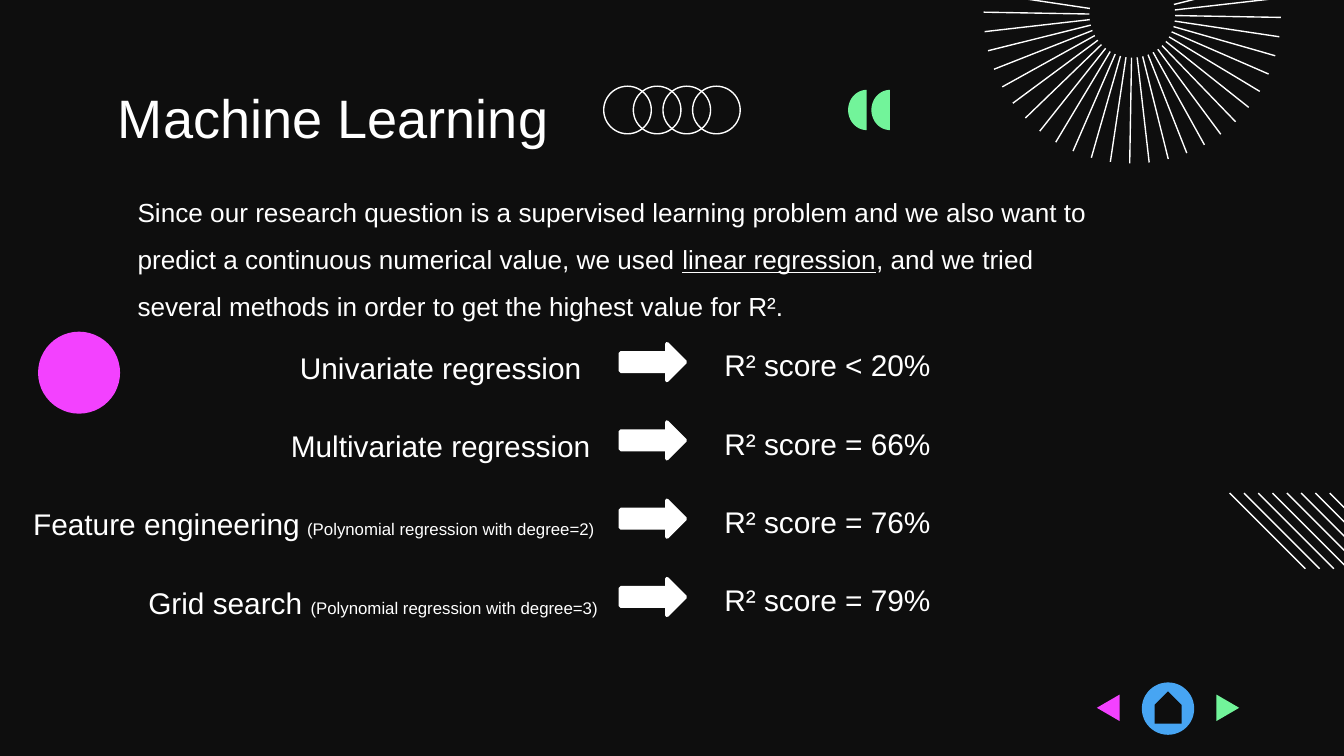
from math import cos, pi, radians, sin

from lxml.etree import SubElement
from pptx import Presentation
from pptx.dml.color import RGBColor
from pptx.enum.shapes import MSO_CONNECTOR, MSO_SHAPE
from pptx.enum.text import PP_ALIGN
from pptx.oxml.ns import qn
from pptx.util import Cm, Pt

BLACK = RGBColor(0x0E, 0x0E, 0x0E)
WHITE = RGBColor(0xFF, 0xFF, 0xFF)
PINK = RGBColor(0xF3, 0x41, 0xFF)
GREEN = RGBColor(0x72, 0xF4, 0x9A)
BLUE = RGBColor(0x47, 0xA5, 0xF3)

# Content: runs are (text, format values); lengths are in centimetres
TITLE = [("Machine Learning", {"size": Pt(29)})]
BODY = [
    ("Since our research question is a supervised learning problem and we also "
     "want to predict a continuous numerical value, we used ", {"size": Pt(14)}),
    ("linear regression", {"size": Pt(14), "underline": True}),
    (", and we tried several methods in order to get the highest value for R².",
     {"size": Pt(14)}),
]
BIG, SMALL = {"size": Pt(16)}, {"size": Pt(9)}
METHODS = [  # label runs, label width, score
    ([("Univariate regression", BIG)], 7.19, "R² score < 20%"),
    ([("Multivariate regression", BIG)], 7.19, "R² score = 66%"),
    ([("Feature engineering", BIG), (" ", {"size": Pt(14)}),
      ("(Polynomial regression with degree=2)", SMALL)], 11.99, "R² score = 76%"),
    ([("Grid search ", BIG),
      ("(Polynomial regression with degree=3)", SMALL)], 9.75, "R² score = 79%"),
]
LABEL_RIGHT, ROW_TOP, ROW_STEP = 11.73, 6.02, 1.48

prs = Presentation()
prs.slide_width, prs.slide_height = Cm(25.4), Cm(14.29)
s = prs.slides.add_slide(prs.slide_layouts[6])
s.background.fill.solid()
s.background.fill.fore_color.rgb = BLACK


def style(sp, fill=None, line=None, width=0.75):
    sp.shadow.inherit = False
    for part, color in ((sp.fill, fill), (sp.line.fill, line)):
        if color is None:
            part.background()
        else:
            part.solid()
            part.fore_color.rgb = color
    if line is not None:
        sp.line.width = Pt(width)
    return sp


def add_preset(kind, x, y, w, h, **look):
    return style(s.shapes.add_shape(kind, Cm(x), Cm(y), Cm(w), Cm(h)), **look)


def add_outline(points, fill):
    points = [(Cm(x), Cm(y)) for x, y in points]
    builder = s.shapes.build_freeform(*points[0])
    builder.add_line_segments(points[1:], close=True)
    style(builder.convert_to_shape(), fill)


def add_line(x1, y1, x2, y2):
    line = s.shapes.add_connector(
        MSO_CONNECTOR.STRAIGHT, Cm(x1), Cm(y1), Cm(x2), Cm(y2))
    line.line.color.rgb = WHITE
    line.line.width = Pt(0.75)
    SubElement(line._element.spPr, qn("a:effectLst"))


def add_text(runs, x, y, w, h, align=PP_ALIGN.LEFT, spacing=1.5, left=0.64, top=0.25):
    tf = s.shapes.add_textbox(Cm(x), Cm(y), Cm(w), Cm(h)).text_frame
    frame = {"word_wrap": True, "margin_left": Cm(left), "margin_top": Cm(top),
             "margin_right": Cm(0.25), "margin_bottom": Cm(0.25)}
    for name, value in frame.items():
        setattr(tf, name, value)
    p = tf.paragraphs[0]
    p.alignment, p.line_spacing = align, spacing
    for text, values in runs:
        r = p.add_run()
        r.text = text
        r.font.color.rgb = WHITE
        for name, value in {"name": "Arial", **values}.items():
            setattr(r.font, name, value)


# Diagonal stripes at the right edge
for i in range(8):
    x = 23.24 + 0.27 * i
    add_line(x, 9.32, x + 1.43, 10.75)

# Pink dot and title
add_preset(MSO_SHAPE.OVAL, 0.72, 6.27, 1.55, 1.55, fill=PINK)
add_text(TITLE, 1.98, 1.5, 21.44, 1.17, spacing=1.0, left=0.25, top=0.1)

# Sunburst
for i in range(-2, 26):
    angle = radians(1 + 7.5 * i)
    add_line(*(c + radius * f(angle) for radius in (0.81, 2.81)
               for c, f in ((21.4, cos), (0.28, sin))))

# Green half discs
for right in (16.38, 16.82):
    arc = [pi / 2 + pi * i / 32 for i in range(33)]
    add_outline([(right + 0.35 * cos(a), 2.08 + 0.38 * sin(a)) for a in arc], GREEN)

# Overlapping rings
for i in range(4):
    add_preset(MSO_SHAPE.OVAL, 11.41 + 0.56 * i, 1.63, 0.9, 0.9, line=WHITE)

# Navigation: home button, back and forward
add_preset(MSO_SHAPE.OVAL, 21.58, 12.9, 0.99, 0.99, fill=BLUE)
home = add_preset(MSO_SHAPE.PENTAGON, 21.77, 13.12, 0.61, 0.51, fill=BLACK)
home.rotation = 270
for base, tip, color in ((21.16, 20.73, PINK), (22.99, 23.42, GREEN)):
    add_outline([(base, 13.13), (tip, 13.38), (base, 13.63)], color)

# Body and method rows
add_text(BODY, 1.96, 3.17, 19.38, 3.25)
for i, (label, width, score) in enumerate(METHODS):
    y = ROW_TOP + ROW_STEP * i
    add_text(label, LABEL_RIGHT - width, y, width, 1.17, PP_ALIGN.CENTER)
    arrow = add_preset(MSO_SHAPE.RIGHT_ARROW, LABEL_RIGHT, y + 0.48, 1.22, 0.69,
                       fill=WHITE, line=WHITE, width=2)
    SubElement(arrow._element.spPr.find(qn("a:ln")), qn("a:round"))
    add_text([(score, BIG)], 12.93, y - 0.05, 5.03, 1.17, PP_ALIGN.CENTER)

prs.save("out.pptx")
